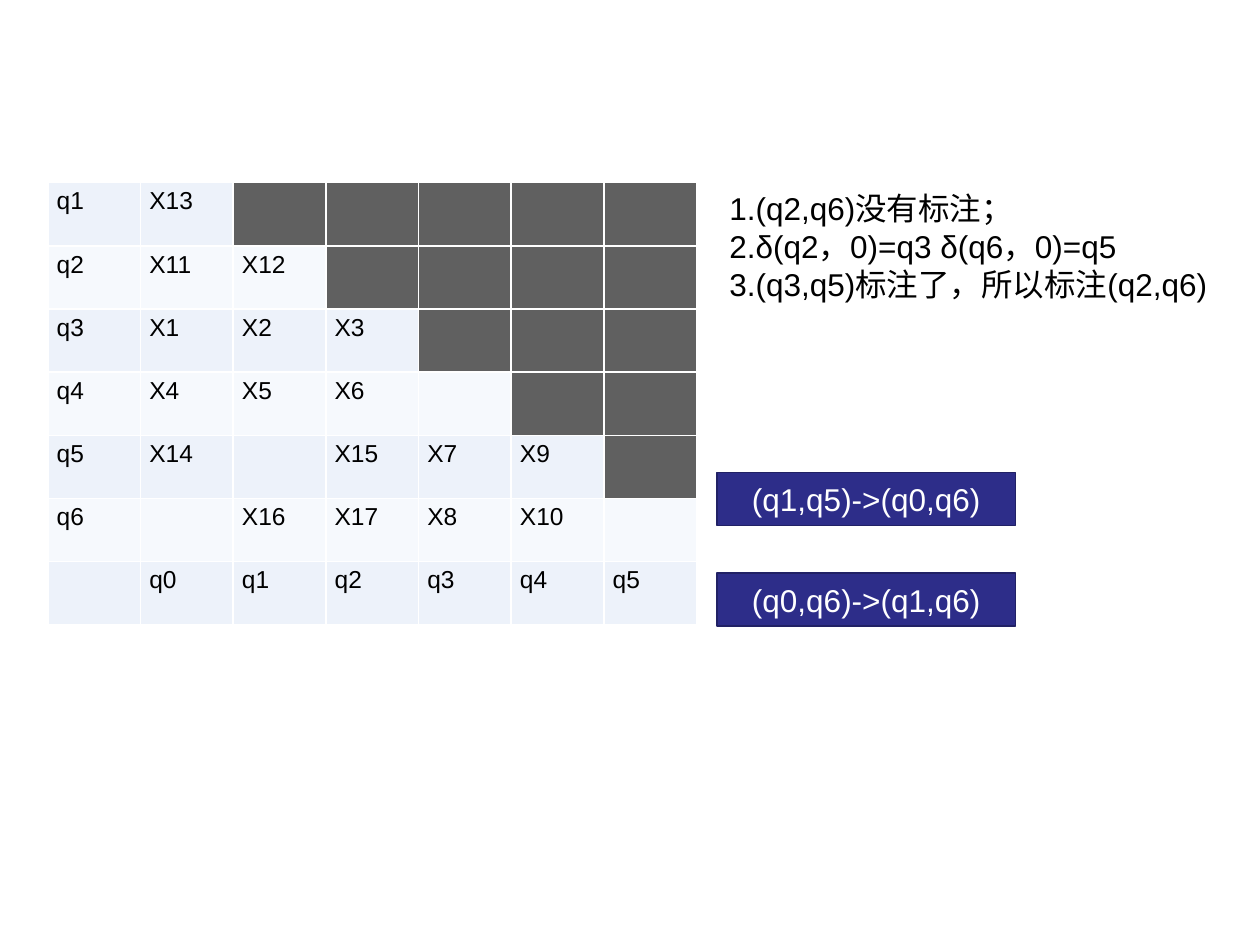
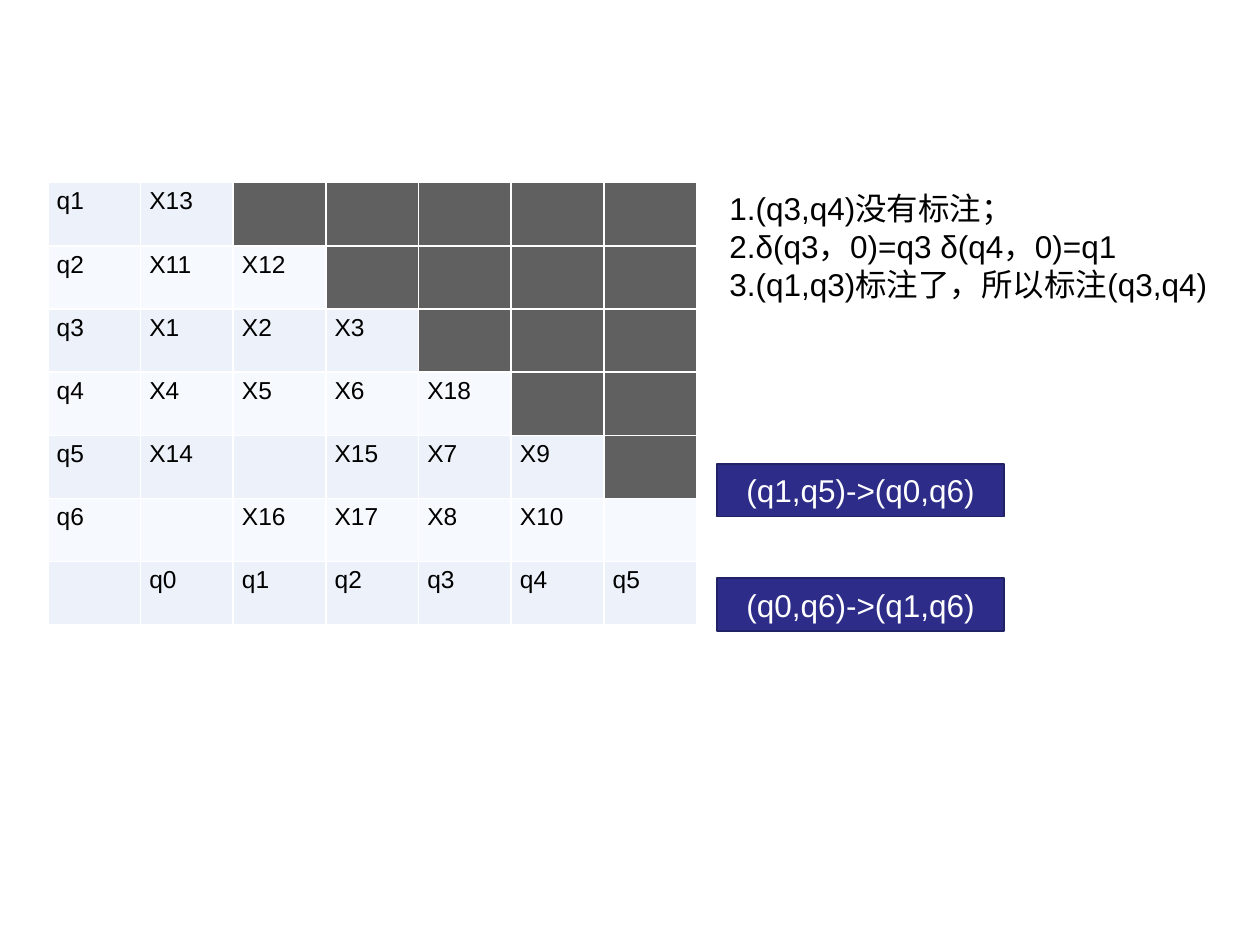
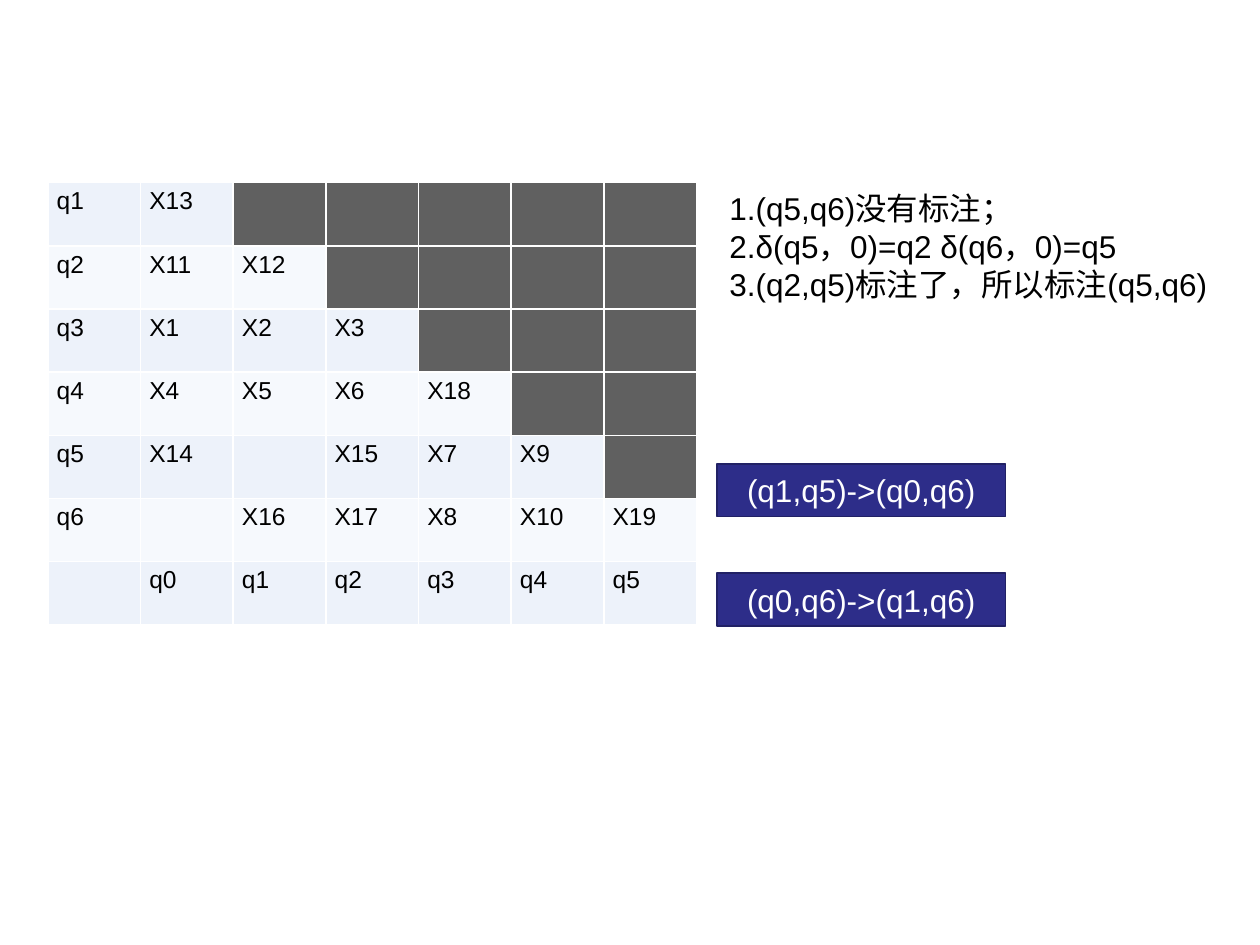
from lxml.etree import SubElement
from pptx import Presentation
from pptx.dml.color import RGBColor
from pptx.enum.shapes import MSO_SHAPE
from pptx.enum.text import MSO_ANCHOR, MSO_AUTO_SIZE, PP_ALIGN
from pptx.oxml.ns import qn
from pptx.util import Inches, Pt

# Shared style
FONT = "Arial"
BLACK, WHITE = "000000", "FFFFFF"
BANDS = ("EDF2FA", "F6F9FD")
UNUSED = "606060"
BOX_FILL, BOX_LINE = "2D2D89", "212165"

# Shared layout, in inches
TABLE_LEFT, TOP = 0.38, 1.45
TABLE_WIDTH, TABLE_HEIGHT = 5.15, 3.51
RIGHT_COL = 5.69
BOX_HEIGHT = 0.42

# Mark numbers by row state (q1 to q6), one for each column state from q0
N = 7
MARKS = [
    [13],
    [11, 12],
    [1, 2, 3],
    [4, 5, 6, 18],
    [14, None, 15, 7, 9],
    [None, 16, 17, 8, 10, 19],
]
DEPENDENCIES = ("(q1,q5)->(q0,q6)", "(q0,q6)->(q1,q6)")

# Per slide: last mark made, steps, box width, box tops
SLIDES = [
    (17, ("1.(q2,q6)没有标注；",
          "2.δ(q2，0)=q3 δ(q6，0)=q5",
          "3.(q3,q5)标注了，所以标注(q2,q6)"), 2.37, (3.75, 4.55)),
    (18, ("1.(q3,q4)没有标注；",
          "2.δ(q3，0)=q3 δ(q4，0)=q1",
          "3.(q1,q3)标注了，所以标注(q3,q4)"), 2.28, (3.68, 4.59)),
    (19, ("1.(q5,q6)没有标注；",
          "2.δ(q5，0)=q2 δ(q6，0)=q5",
          "3.(q2,q5)标注了，所以标注(q5,q6)"), 2.29, (3.68, 4.55)),
]


def rgb(color):
    return RGBColor.from_string(color)


def write(tf, *lines, size=18, color=BLACK, align=PP_ALIGN.LEFT):
    for i, line in enumerate(lines):
        p = tf.paragraphs[0] if i == 0 else tf.add_paragraph()
        p.alignment = align
        r = p.add_run()
        r.text = line
        r.font.name = FONT
        r.font.size = Pt(size)
        r.font.color.rgb = rgb(color)


def set_borders(cell, color=WHITE, width=1):
    tcPr = cell._tc.get_or_add_tcPr()
    for side in ("a:lnL", "a:lnR", "a:lnT", "a:lnB"):
        ln = SubElement(tcPr, qn(side), w=str(Pt(width)))
        SubElement(SubElement(ln, qn("a:solidFill")), qn("a:srgbClr"), val=color)


def cell_text(row, col, last_mark):
    if row == N - 1:
        return f"q{col - 1}" if col else ""
    if col == 0:
        return f"q{row + 1}"
    mark = MARKS[row][col - 1] if col <= row + 1 else None
    return f"X{mark}" if mark and mark <= last_mark else ""


def add_mark_table(slide, last_mark):
    table = slide.shapes.add_table(
        N, N, Inches(TABLE_LEFT), Inches(TOP),
        Inches(TABLE_WIDTH), Inches(TABLE_HEIGHT)).table
    table.first_row = table.horz_banding = False
    for row in range(N):
        for col in range(N):
            cell = table.cell(row, col)
            cell.margin_left = cell.margin_right = Inches(0.07)
            cell.margin_top = cell.margin_bottom = Inches(0.04)
            set_borders(cell)
            cell.fill.solid()
            # Pairs above the diagonal are not used
            cell.fill.fore_color.rgb = rgb(UNUSED if col > row + 1 else BANDS[row % 2])
            text = cell_text(row, col, last_mark)
            if text:
                write(cell.text_frame, text, size=14)


def add_steps(slide, steps):
    sp = slide.shapes.add_textbox(
        Inches(RIGHT_COL), Inches(TOP), Inches(3.99), Inches(1.31))
    tf = sp.text_frame
    tf.word_wrap = True
    tf.auto_size = MSO_AUTO_SIZE.SHAPE_TO_FIT_TEXT
    write(tf, *steps)


def add_box(slide, text, top, width):
    sp = slide.shapes.add_shape(
        MSO_SHAPE.RECTANGLE, Inches(RIGHT_COL), Inches(top),
        Inches(width), Inches(BOX_HEIGHT))
    sp.shadow.inherit = False
    sp.fill.solid()
    sp.fill.fore_color.rgb = rgb(BOX_FILL)
    sp.line.color.rgb = rgb(BOX_LINE)
    sp.line.width = Pt(1)
    tf = sp.text_frame
    tf.word_wrap = True
    tf.vertical_anchor = MSO_ANCHOR.MIDDLE
    write(tf, text, color=WHITE, align=PP_ALIGN.CENTER)


def main():
    prs = Presentation()
    prs.slide_width, prs.slide_height = Inches(10), Inches(7.5)
    blank = prs.slide_layouts[6]
    for last_mark, steps, box_width, box_tops in SLIDES:
        slide = prs.slides.add_slide(blank)
        add_mark_table(slide, last_mark)
        add_steps(slide, steps)
        for text, top in zip(DEPENDENCIES, box_tops):
            add_box(slide, text, top, box_width)
    prs.save("out.pptx")


if __name__ == "__main__":
    main()
